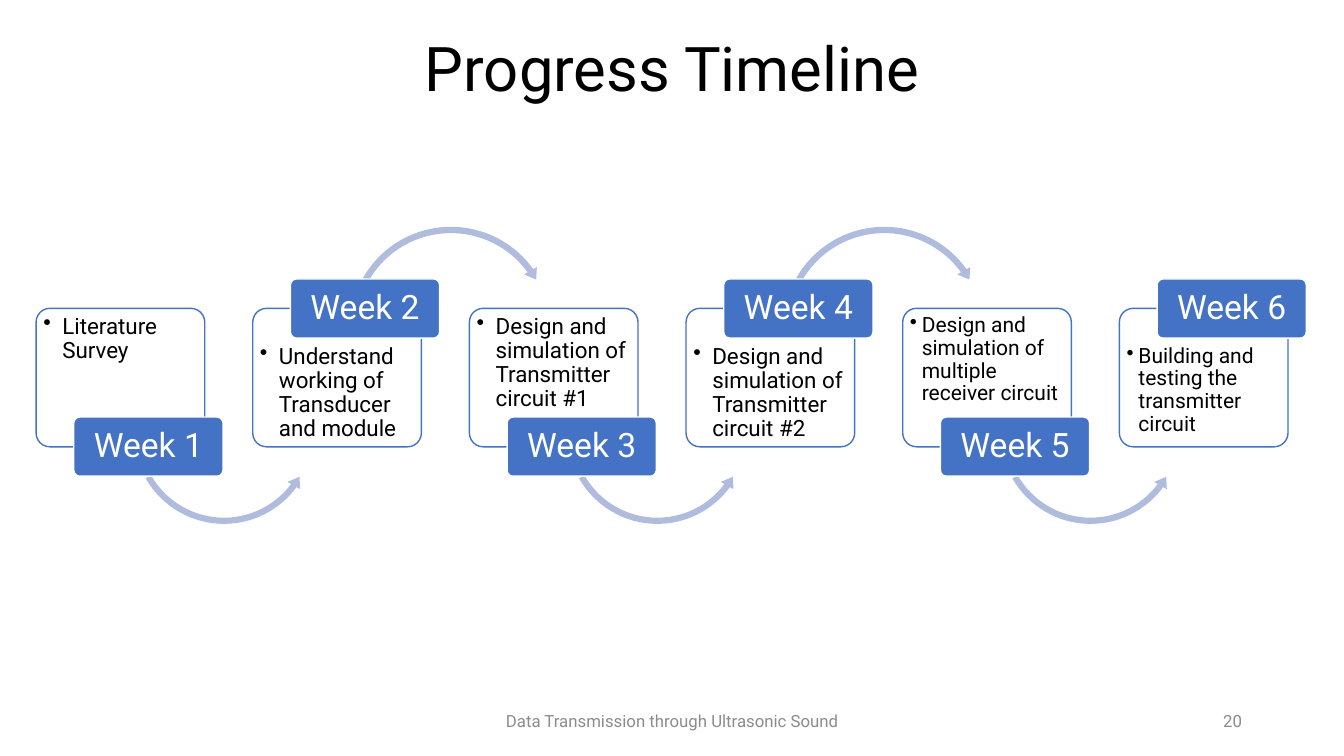
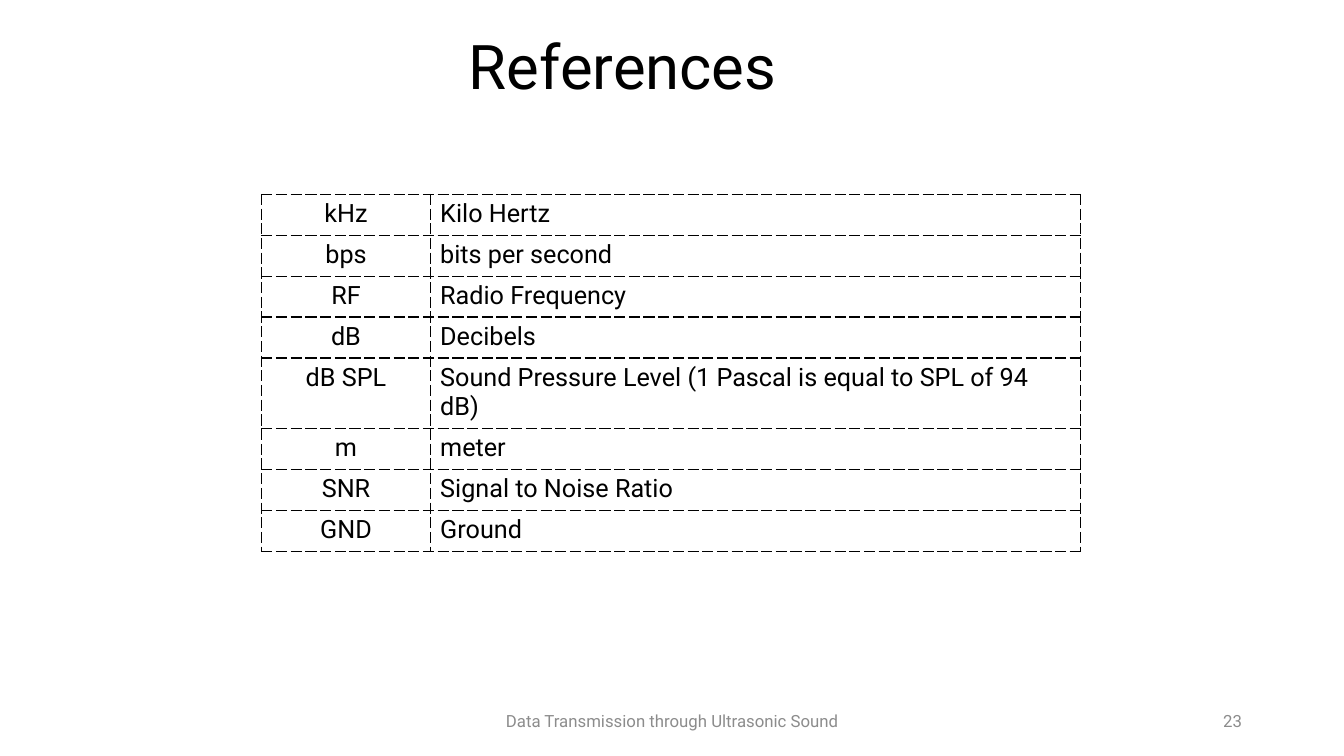
"""Build the progress timeline and the references slide of an ultrasonic sound talk."""
from lxml import etree
from pptx import Presentation
from pptx.dml.color import RGBColor
from pptx.enum.shapes import MSO_SHAPE
from pptx.enum.text import MSO_ANCHOR, PP_ALIGN
from pptx.oxml import parse_xml
from pptx.oxml.ns import nsdecls, qn
from pptx.util import Cm, Pt

ROUNDED = MSO_SHAPE.ROUNDED_RECTANGLE
ARC_OVER = MSO_SHAPE.CIRCULAR_ARROW
ARC_UNDER = MSO_SHAPE.LEFT_CIRCULAR_ARROW
LEFT, CENTER, RIGHT = PP_ALIGN.LEFT, PP_ALIGN.CENTER, PP_ALIGN.RIGHT
TOP, MIDDLE = MSO_ANCHOR.TOP, MSO_ANCHOR.MIDDLE

BLACK = RGBColor(0x00, 0x00, 0x00)
WHITE = RGBColor(0xFF, 0xFF, 0xFF)
BLUE = RGBColor(0x44, 0x72, 0xC4)
PALE_BLUE = RGBColor(0xB0, 0xBC, 0xDE)
GRAY = RGBColor(0x8C, 0x8C, 0x8C)
FONT = "Roboto"
FOOTER = "Data Transmission through Ultrasonic Sound"

CARD_LEFT, CARD_TOP, CARD_PITCH = 0.91, 7.77, 5.46
WEEKS = [
    ("Literature Survey", 16, 0.48),
    ("Understand working of Transducer and module", 16, 0.48),
    ("Design and simulation of Transmitter circuit #1", 16, 0.48),
    ("Design and simulation of Transmitter circuit #2", 16, 0.48),
    ("Design and simulation of multiple receiver circuit", 15, 0.3),
    ("Building and testing the transmitter circuit", 15, 0.3),
]
ABBREVIATIONS = [
    ("kHz", "Kilo Hertz"),
    ("bps", "bits per second"),
    ("RF", "Radio Frequency"),
    ("dB", "Decibels"),
    ("dB SPL", "Sound Pressure Level (1 Pascal is equal to SPL of 94 dB)"),
    ("m", "meter"),
    ("SNR", "Signal to Noise Ratio"),
    ("GND", "Ground"),
]


def write(frame, text, size, color, align, spacing=1.0):
    frame.text = text
    frame.word_wrap = True
    paragraph = frame.paragraphs[0]
    paragraph.alignment = align
    paragraph.line_spacing = spacing
    font = paragraph.runs[0].font
    font.name, font.size, font.color.rgb = FONT, Pt(size), color


def add_block(slide, preset, box, fill, line=None):
    block = slide.shapes.add_shape(preset, *[Cm(length) for length in box])
    block.shadow.inherit = False
    block.fill.solid()
    block.fill.fore_color.rgb = fill
    if line is None:
        block.line.fill.background()
    else:
        block.line.color.rgb = line
        block.line.width = Pt(1)
    return block


prs = Presentation()
prs.slide_width, prs.slide_height = Cm(33.87), Cm(19.05)

slides = []
for heading, number, left, top in [
    ("Progress Timeline", "20", 2.51, 0.61),
    ("References", "23", 1.26, 0.56),
]:
    slide = prs.slides.add_slide(prs.slide_layouts[5])
    title = slide.shapes.title
    title.left, title.top, title.width, title.height = Cm(left), Cm(top), Cm(28.87), Cm(2.39)
    write(title.text_frame, heading, 44, BLACK, CENTER, 0.9)
    title.text_frame.vertical_anchor = MIDDLE
    for text, text_left, width, align in [
        (number, 23.93, 7.62, RIGHT),
        (FOOTER, 11.23, 11.43, CENTER),
    ]:
        footer = slide.shapes.add_textbox(Cm(text_left), Cm(17.65), Cm(width), Cm(1.02))
        write(footer.text_frame, text, 12, GRAY, align)
        footer.text_frame.vertical_anchor = MIDDLE
    slides.append(slide)
timeline, references = slides

for index, (task, size, indent) in enumerate(WEEKS):
    label_above = index % 2 == 1
    left = CARD_LEFT + index * CARD_PITCH

    card = add_block(timeline, ROUNDED, (left, CARD_TOP, 4.25, 3.49), WHITE, BLUE)
    card.adjustments[0] = 0.1
    frame = card.text_frame
    frame.vertical_anchor = TOP
    frame.margin_left, frame.margin_right, frame.margin_bottom = Cm(0.08), Cm(0.04), Cm(0)
    frame.margin_top = Cm(0.82 if label_above else 0.06)
    write(frame, task, size, BLACK, LEFT, 0.9)
    properties = frame.paragraphs[0]._p.get_or_add_pPr()
    properties.set("marL", str(Cm(indent)))
    properties.set("indent", str(-Cm(indent)))
    etree.SubElement(properties, qn("a:buChar")).set("char", "•")

    if index < len(WEEKS) - 1:
        if label_above:
            arc = add_block(timeline, ARC_OVER, (left + 2.34, 5.61, 5.31, 5.31), PALE_BLUE)
            bends = (0.03, 3.68, 194.565, 125.755, 0.035)
        else:
            arc = add_block(timeline, ARC_UNDER, (left + 2.36, 8.56, 4.75, 4.75), PALE_BLUE)
            bends = (0.033, 4.132, 21.887, 90.245, 0.039)
        for position, bend in enumerate(bends):
            arc.adjustments[position] = bend

    label_top = 7.03 if label_above else 10.51
    label = add_block(timeline, ROUNDED, (left + 0.95, label_top, 3.76, 1.49), BLUE, WHITE)
    label.adjustments[0] = 0.1
    frame = label.text_frame
    frame.vertical_anchor = MIDDLE
    frame.margin_left = frame.margin_right = Cm(0.13)
    frame.margin_top = frame.margin_bottom = Cm(0.08)
    write(frame, f"Week {index + 1}", 24, WHITE, CENTER, 0.9)

table = references.shapes.add_table(
    len(ABBREVIATIONS), 2, Cm(6.6), Cm(4.9), Cm(20.62), Cm(8.24)
).table
table.first_row = table.horz_banding = False
table.columns[0].width, table.columns[1].width = Cm(4.24), Cm(16.38)
for row, entry in enumerate(ABBREVIATIONS):
    table.rows[row].height = Cm(1.03)
    for column, (text, align) in enumerate(zip(entry, (CENTER, LEFT))):
        cell = table.cell(row, column)
        write(cell.text_frame, text, 18, BLACK, align)
        for side in ("lnL", "lnR", "lnT", "lnB"):
            cell._tc.get_or_add_tcPr().append(parse_xml(
                f'<a:{side} {nsdecls("a")} w="{Pt(1)}"><a:solidFill><a:srgbClr val="{BLACK}"/>'
                f'</a:solidFill><a:prstDash val="sysDash"/></a:{side}>'
            ))
        cell.fill.solid()
        cell.fill.fore_color.rgb = WHITE

prs.save("out.pptx")
